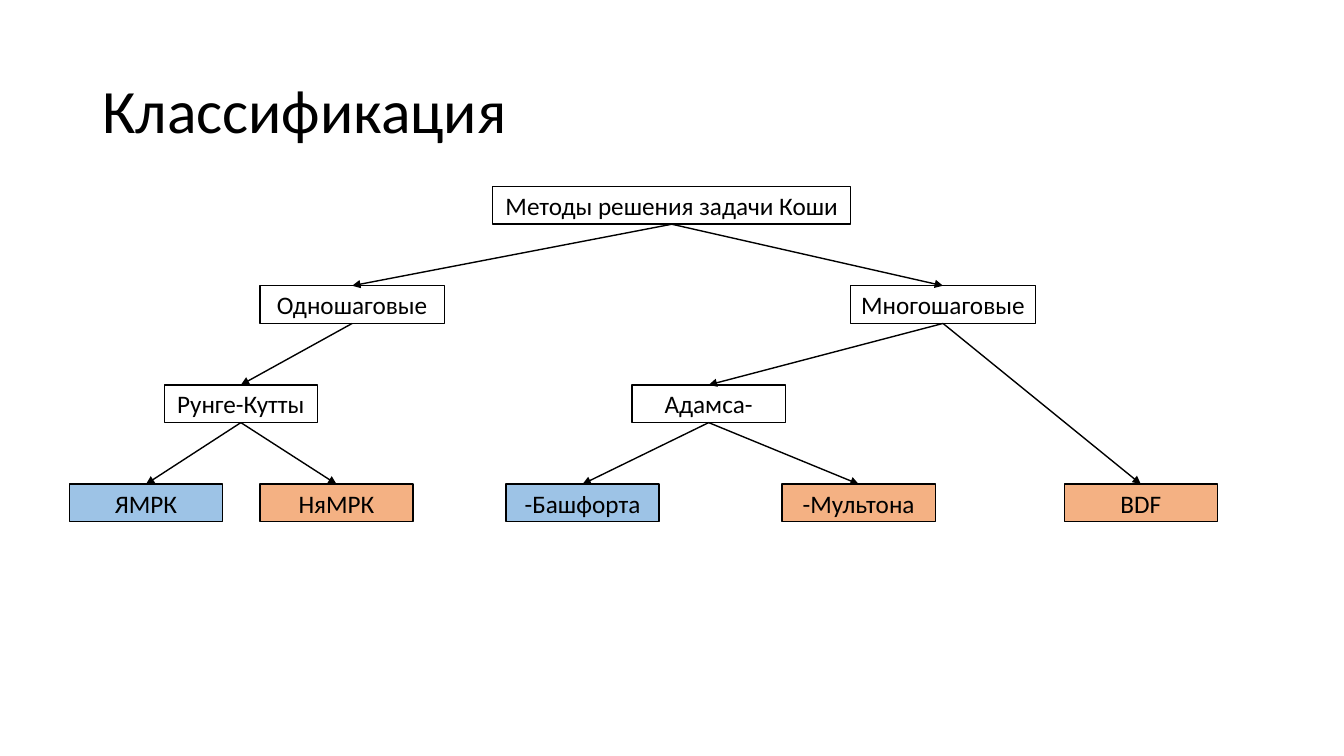
from lxml import etree
from pptx import Presentation
from pptx.dml.color import RGBColor
from pptx.enum.shapes import MSO_CONNECTOR, MSO_SHAPE
from pptx.enum.text import MSO_ANCHOR, PP_ALIGN
from pptx.oxml.ns import qn
from pptx.util import Cm, Pt

RECTANGLE = MSO_SHAPE.RECTANGLE
STRAIGHT = MSO_CONNECTOR.STRAIGHT
MIDDLE = MSO_ANCHOR.MIDDLE
CENTER = PP_ALIGN.CENTER

BLACK, WHITE, BLUE, ORANGE = "000000", "FFFFFF", "9DC3E6", "F4B183"
BOTTOM_SIDE, TOP_SIDE = 2, 0
FIRST_ROW, ROW_STEP, BOX_HEIGHT = 4.7, 2.5, 0.95
WIDTHS = [9.02, 4.65, 3.86, 3.86]  # one per level of the tree


def color(hex_string):
    return RGBColor.from_string(hex_string)


def write(para, text, size):
    span = para.add_run()
    span.text = text
    span.font.name = "Calibri"
    span.font.size = Pt(size)
    span.font.color.rgb = color(BLACK)


deck = Presentation()
deck.slide_width, deck.slide_height = Cm(33.87), Cm(19.05)
page = deck.slides.add_slide(deck.slide_layouts[6])

title = page.shapes.add_textbox(Cm(2.33), Cm(1.01), Cm(29.21), Cm(3.68)).text_frame
title.word_wrap = True
title.vertical_anchor = MIDDLE
title.paragraphs[0].line_spacing = 0.9
write(title.paragraphs[0], "Классификация", 44)

# name, parent, level, left edge, fill
METHODS = [
    ("Методы решения задачи Коши", None, 0, 12.42, WHITE),
    ("Одношаговые", "Методы решения задачи Коши", 1, 6.55, WHITE),
    ("Многошаговые", "Методы решения задачи Коши", 1, 21.44, WHITE),
    ("Рунге-Кутты", "Одношаговые", 2, 4.14, WHITE),
    ("Адамса-", "Многошаговые", 2, 15.93, WHITE),
    ("ЯМРК", "Рунге-Кутты", 3, 1.75, BLUE),
    ("НяМРК", "Рунге-Кутты", 3, 6.55, ORANGE),
    ("-Башфорта", "Адамса-", 3, 12.75, BLUE),
    ("-Мультона", "Адамса-", 3, 19.71, ORANGE),
    ("BDF", "Многошаговые", 3, 26.82, ORANGE),
]

boxes = {}
for name, parent, level, left, fill in METHODS:
    top = FIRST_ROW + level * ROW_STEP
    box = page.shapes.add_shape(
        RECTANGLE, Cm(left), Cm(top), Cm(WIDTHS[level]), Cm(BOX_HEIGHT))
    box.shadow.inherit = False
    box.fill.solid()
    box.fill.fore_color.rgb = color(fill)
    box.line.color.rgb = color(BLACK)
    box.line.width = Pt(1)
    frame = box.text_frame
    frame.word_wrap = True
    frame.margin_left = frame.margin_right = Cm(0)
    frame.vertical_anchor = MIDDLE
    frame.paragraphs[0].alignment = CENTER
    write(frame.paragraphs[0], name, 18)
    boxes[name] = box

    if parent:
        arrow = page.shapes.add_connector(STRAIGHT, 0, 0, 0, 0)
        arrow.begin_connect(boxes[parent], BOTTOM_SIDE)
        arrow.end_connect(box, TOP_SIDE)
        arrow.line.color.rgb = color(BLACK)
        arrow.line.width = Pt(1)
        etree.SubElement(arrow.line._get_or_add_ln(), qn("a:tailEnd"), type="triangle")
        etree.SubElement(arrow._element.spPr, qn("a:effectLst"))

deck.save("out.pptx")
